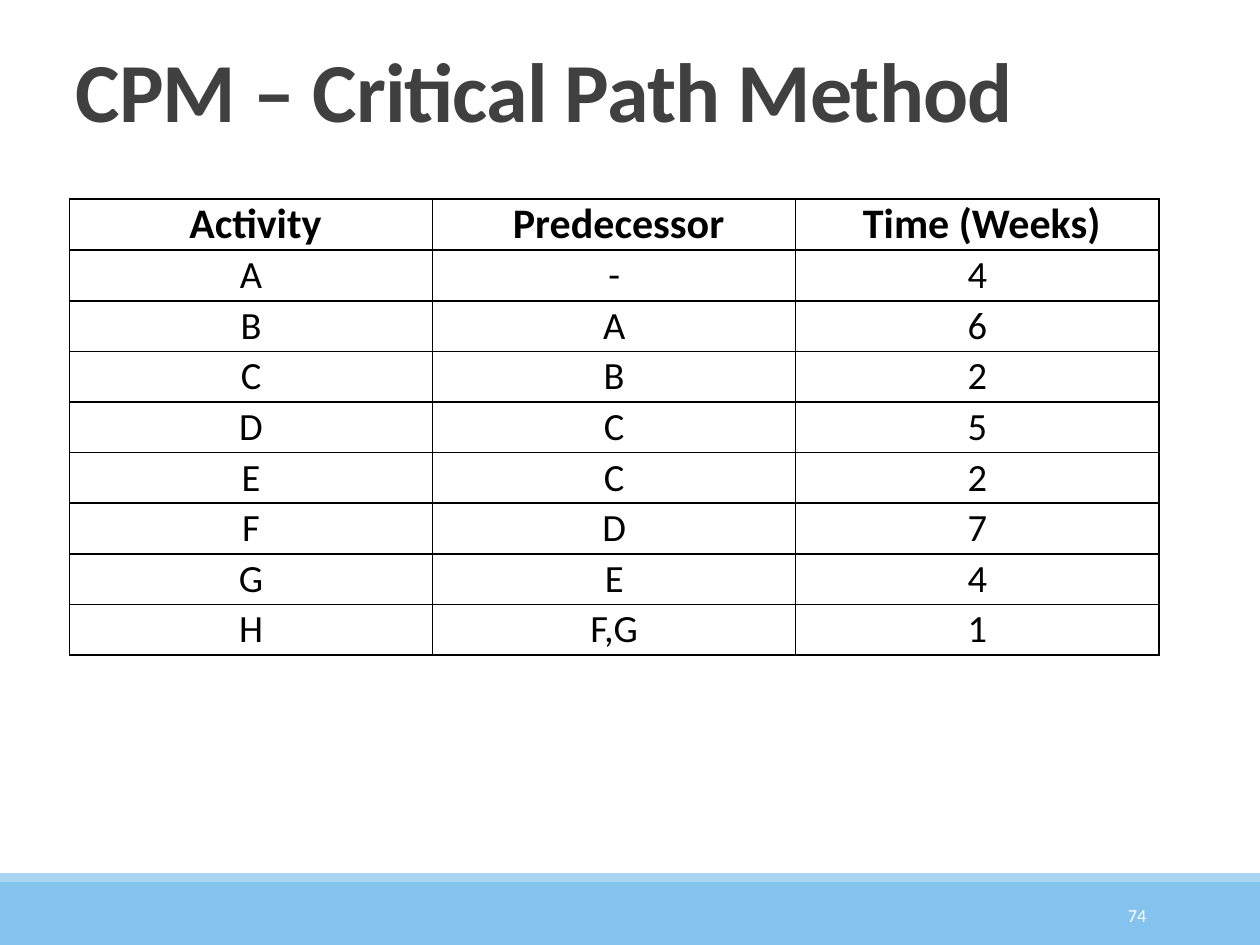
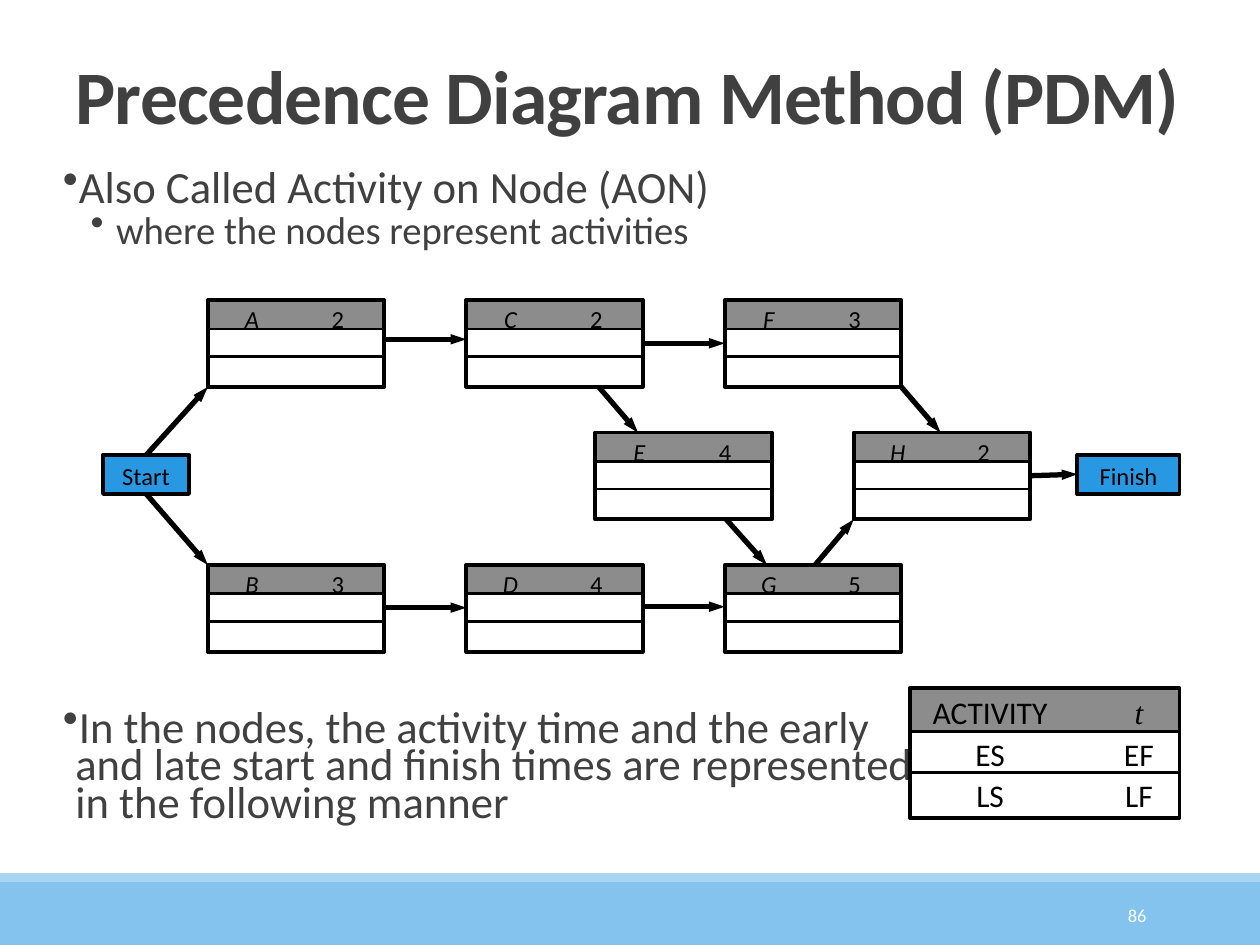
from dataclasses import dataclass

from lxml import etree
from pptx import Presentation
from pptx.dml.color import RGBColor
from pptx.enum.shapes import MSO_CONNECTOR, MSO_SHAPE
from pptx.enum.text import MSO_ANCHOR, MSO_AUTO_SIZE, PP_ALIGN
from pptx.oxml.ns import qn
from pptx.util import Cm, Pt

RECT, LINE = MSO_SHAPE.RECTANGLE, MSO_CONNECTOR.STRAIGHT
LEFT, CENTER, RIGHT = PP_ALIGN.LEFT, PP_ALIGN.CENTER, PP_ALIGN.RIGHT
TOP, MIDDLE, BOTTOM = MSO_ANCHOR.TOP, MSO_ANCHOR.MIDDLE, MSO_ANCHOR.BOTTOM


@dataclass(frozen=True)
class Theme:
    font: str = "Calibri"
    symbol_font: str = "Times New Roman"
    text: str = "404040"
    black: str = "000000"
    white: str = "FFFFFF"
    band: str = "84C3ED"
    band_edge: str = "A9D5F3"
    node_head: str = "8C8C8C"
    terminal: str = "2998E3"
    number_size: float = 10.5
    head_size: float = 24
    cell_size: float = 22
    bullet_size: float = 25.5
    sub_bullet_size: float = 22.1
    node_size: float = 14
    legend_size: float = 18


T = Theme()

# Content: lengths in cm
CPM = {"title": "CPM – Critical Path Method", "size": 48, "number": "74"}
PDM = {"title": "Precedence Diagram Method (PDM)", "size": 43.2, "number": "86"}

ACTIVITIES = [
    ("Activity", "Predecessor", "Time (Weeks)"),
    ("A", "-", "4"),
    ("B", "A", "6"),
    ("C", "B", "2"),
    ("D", "C", "5"),
    ("E", "C", "2"),
    ("F", "D", "7"),
    ("G", "E", "4"),
    ("H", "F,G", "1"),
]

# Level and text of each bullet, by top of its text box
BULLETS = {
    3.38: [(0, "Also Called Activity on Node (AON)"),
           (1, "where the nodes represent activities")],
    14.25: [(0, "In the nodes, the activity time and the early and late start "
                "and finish times are represented in the following manner")],
}
BULLET_LEVELS = [
    {"size": T.bullet_size, "margin": 0.25, "hang": 0.25, "before": 12, "after": 2},
    {"size": T.sub_bullet_size, "margin": 1.07, "hang": 0.51, "before": 2, "after": 4},
]

# Activity: (grid column, grid row, time)
NODES = {
    "A": (0, 0, 2), "C": (1, 0, 2), "F": (2, 0, 3),
    "E": (1.5, 1, 4), "H": (2.5, 1, 2),
    "B": (0, 2, 3), "D": (1, 2, 4), "G": (2, 2, 5),
}
GRID_X, GRID_Y, STEP_X, STEP_Y = 4.19, 6.05, 5.21, 2.67
NODE_W, NODE_H = 3.56, 1.75
NODE_TABS = (0.51, 2.24)
TERMINALS = {"Start": (2.08, 9.17, 1.73, 0.79), "Finish": (21.72, 9.17, 2.06, 0.79)}

# Each end: box name, then fractions of its width and height
ARROWS = [
    (("Start", 0.5, 0), ("A", 0, 1)),
    (("Start", 0.5, 1), ("B", 0, 0)),
    (("A", 1, 0.45), ("C", 0, 0.45)),
    (("C", 1, 0.5), ("F", 0, 0.5)),
    (("H", 1, 0.5), ("Finish", 0, 0.5)),
    (("B", 1, 0.49), ("D", 0, 0.49)),
    (("D", 1, 0.48), ("G", 0, 0.48)),
    (("C", 0.75, 1), ("E", 0.24, 0)),
    (("E", 0.74, 1), ("G", 0.24, 0)),
    (("F", 1, 1), ("H", 0.49, 0)),
    (("G", 0.51, 0), ("H", 0, 1)),
]

LEGEND_BOX = (18.34, 13.87, 5.44, 2.62)
LEGEND_TABS = (1.24, 4.24)
ITALIC = {"italic": True}
SYMBOL = {"italic": True, "name": T.symbol_font}
LEGEND = [
    [("\tACTIVITY\t", {}), ("t", SYMBOL)],
    [("\tES\tEF", {})],
    [("\tLS\tLF", {})],
]


def cm(*lengths):
    return [Cm(round(v, 2)) for v in lengths]


def add_run(p, text, size, color=T.black, **font):
    r = p.add_run()
    r.text = text
    r.font.color.rgb = RGBColor.from_string(color)
    for name, value in {"name": T.font, "size": Pt(size), **font}.items():
        setattr(r.font, name, value)
    return r


def set_frame(tf, anchor=TOP, wrap=True, **margins):
    tf.auto_size = MSO_AUTO_SIZE.NONE
    tf.word_wrap = wrap
    tf.vertical_anchor = anchor
    for side, value in margins.items():
        setattr(tf, "margin_" + side, Cm(value))
    return tf


def next_paragraph(tf, index):
    return tf.add_paragraph() if index else tf.paragraphs[0]


def add_rect(slide, box, fill=None, line=None):
    sp = slide.shapes.add_shape(RECT, *cm(*box))
    sp.shadow.inherit = False
    if fill:
        sp.fill.solid()
        sp.fill.fore_color.rgb = RGBColor.from_string(fill)
    else:
        sp.fill.background()
    if line:
        sp.line.color.rgb = RGBColor.from_string(T.black)
        sp.line.width = Pt(line)
    else:
        sp.line.fill.background()
    return sp


def add_line(slide, start, end, width, arrow=False):
    sp = slide.shapes.add_connector(LINE, *cm(*start, *end))
    sp.line.color.rgb = RGBColor.from_string(T.black)
    sp.line.width = Pt(width)
    if arrow:
        etree.SubElement(sp.line._get_or_add_ln(), qn("a:tailEnd"),
                         type="triangle", w="sm", len="med")
    etree.SubElement(sp._element.spPr, qn("a:effectLst"))


def add_slide(prs, page):
    """Add a slide with its title, footer bands and number."""
    slide = prs.slides.add_slide(prs.slide_layouts[5])
    add_rect(slide, (0, 17.78, 25.4, 1.27), T.band)
    add_rect(slide, (0, 17.6, 25.4, 0.18), T.band_edge)

    number = slide.shapes.add_textbox(*cm(20.62, 17.93, 2.74, 1.02))
    p = set_frame(number.text_frame, MIDDLE).paragraphs[0]
    p.alignment = RIGHT
    add_run(p, page["number"], T.number_size, T.white)

    title = slide.shapes.title
    title.left, title.top, title.width, title.height = cm(1.27, 0.79, 23.29, 2.16)
    p = set_frame(title.text_frame, BOTTOM).paragraphs[0]
    p.alignment, p.line_spacing = LEFT, 0.85
    r = add_run(p, page["title"], page["size"], T.text, bold=True)
    r._r.get_or_add_rPr().set("spc", "-50")
    return slide


def set_borders(cell):
    tc_pr = cell._tc.get_or_add_tcPr()
    for index, side in enumerate(("lnL", "lnR", "lnT", "lnB")):
        ln = etree.Element(qn("a:" + side), w=str(Pt(1)))
        fill = etree.SubElement(ln, qn("a:solidFill"))
        etree.SubElement(fill, qn("a:srgbClr"), val=T.black)
        tc_pr.insert(index, ln)


def add_activity_table(slide):
    rows, cols = len(ACTIVITIES), len(ACTIVITIES[0])
    col_w, row_h = 7.32, 1.02
    table = slide.shapes.add_table(
        rows, cols, *cm(1.4, 4.01, col_w * cols, row_h * rows)).table
    table.first_row = table.horz_banding = False
    for column in table.columns:
        column.width = Cm(col_w)
    for i, values in enumerate(ACTIVITIES):
        table.rows[i].height = Cm(row_h)
        for j, value in enumerate(values):
            cell = table.cell(i, j)
            cell.fill.background()
            set_borders(cell)
            cell.vertical_anchor = MIDDLE
            cell.margin_right = cell.margin_top = cell.margin_bottom = 0
            cell.margin_left = Cm(0 if i else 0.18)
            p = cell.text_frame.paragraphs[0]
            p.alignment = CENTER
            add_run(p, value, T.cell_size if i else T.head_size, bold=i == 0)


def add_bullets(slide, top, items):
    sp = slide.shapes.add_textbox(*cm(1.27, top, 17.2, 2.6))
    tf = set_frame(sp.text_frame, left=0, right=0)
    for i, (level, text) in enumerate(items):
        style = BULLET_LEVELS[level]
        p = next_paragraph(tf, i)
        p.level = level
        p_pr = p._p.get_or_add_pPr()
        p_pr.set("marL", str(Cm(style["margin"])))
        p_pr.set("indent", str(-Cm(style["hang"])))
        etree.SubElement(p_pr, qn("a:buChar"), char="•")
        p.line_spacing = 0.7
        p.space_before = Pt(style["before"] if i else 0)
        p.space_after = Pt(style["after"])
        add_run(p, text, style["size"], T.text)


def add_node(slide, box, lines, tabs, size):
    """Draw a three-row box whose text is set on centred tab stops."""
    x, y, w, h = box
    add_rect(slide, (x, y, w, h / 3), T.node_head)
    sp = slide.shapes.add_textbox(*cm(x + 0.13, y - 0.1, w - 0.3, h + 0.13))
    tf = set_frame(sp.text_frame)
    for i, runs in enumerate(lines):
        p = next_paragraph(tf, i)
        stops = etree.SubElement(p._p.get_or_add_pPr(), qn("a:tabLst"))
        for stop in tabs:
            etree.SubElement(stops, qn("a:tab"), pos=str(Cm(stop)), algn="ctr")
        p.line_spacing = 1.1
        for text, font in runs:
            add_run(p, text, size, **font)
    add_rect(slide, box, line=2.25)
    for share in (1 / 3, 0.65):
        add_line(slide, (x, y + h * share), (x + w, y + h * share), 1.5)


def add_network(slide):
    boxes = dict(TERMINALS)
    for name, (col, row, time) in NODES.items():
        boxes[name] = (GRID_X + STEP_X * col, GRID_Y + STEP_Y * row, NODE_W, NODE_H)
        runs = [("\t", {}), (name, ITALIC), (f"\t{time}", {})]
        add_node(slide, boxes[name], [runs], NODE_TABS, T.node_size)

    for name, box in TERMINALS.items():
        sp = add_rect(slide, box, T.terminal, 2.25)
        p = set_frame(sp.text_frame, wrap=False).paragraphs[0]
        p.alignment = CENTER
        add_run(p, name, T.node_size)

    def point(name, fx, fy):
        x, y, w, h = boxes[name]
        return x + w * fx, y + h * fy

    for start, end in ARROWS:
        add_line(slide, point(*start), point(*end), 3, arrow=True)


def main():
    prs = Presentation()
    prs.slide_width, prs.slide_height = cm(25.4, 19.05)

    add_activity_table(add_slide(prs, CPM))

    slide = add_slide(prs, PDM)
    for top, items in BULLETS.items():
        add_bullets(slide, top, items)
    add_network(slide)
    add_node(slide, LEGEND_BOX, LEGEND, LEGEND_TABS, T.legend_size)

    prs.save("out.pptx")


if __name__ == "__main__":
    main()
